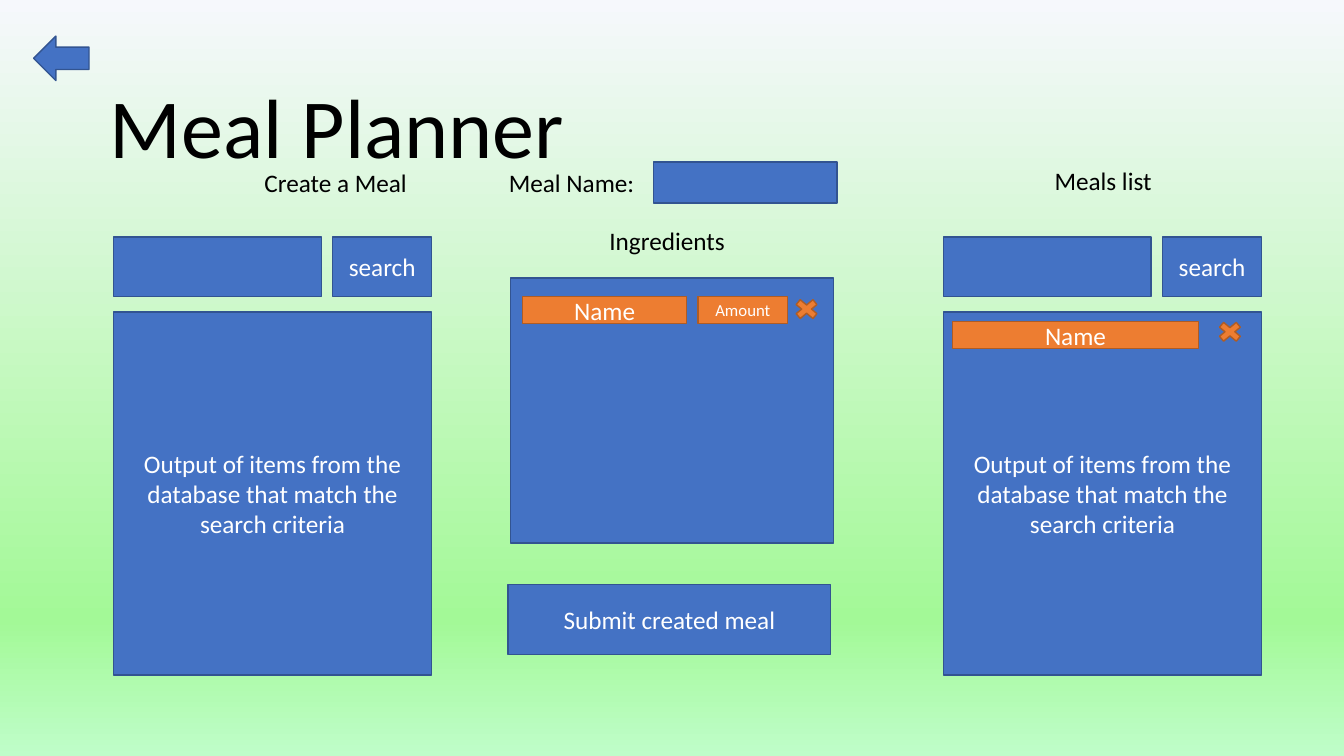
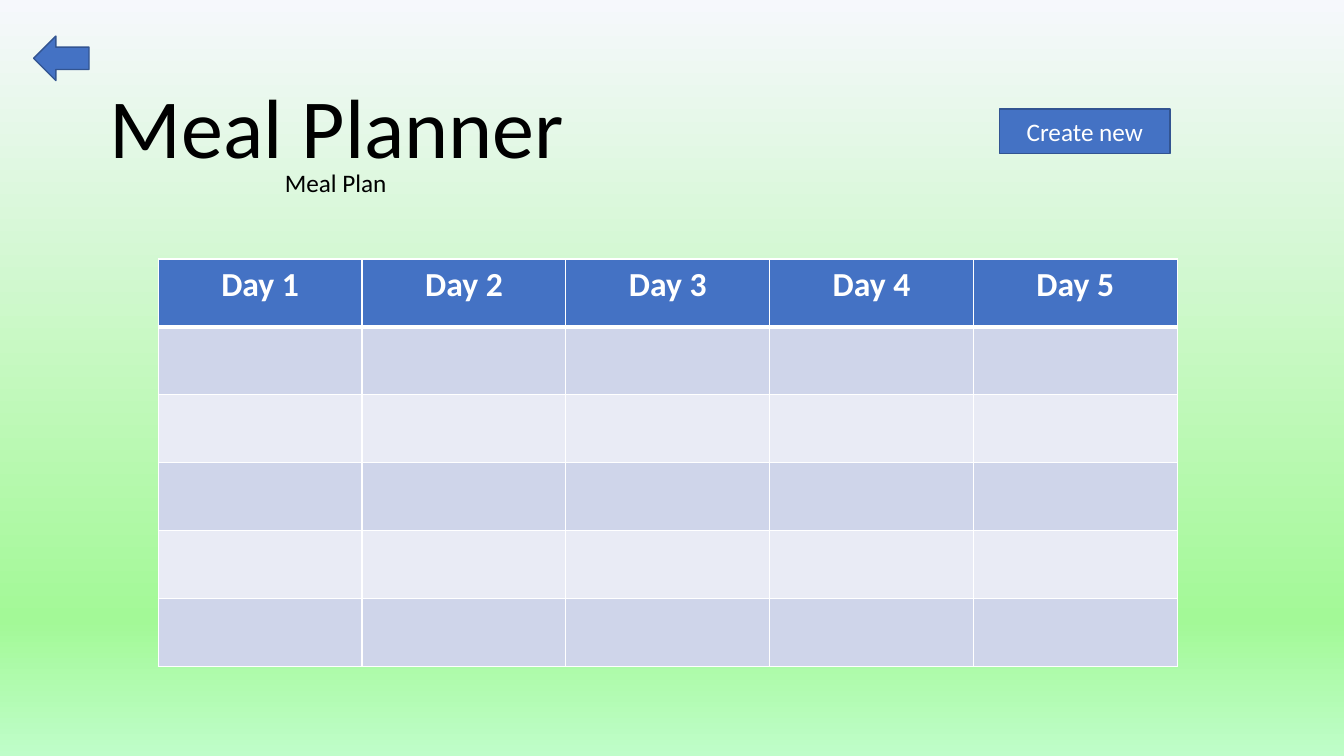
from dataclasses import dataclass

from lxml import etree
from pptx import Presentation
from pptx.dml.color import RGBColor
from pptx.enum.shapes import MSO_SHAPE
from pptx.enum.text import MSO_ANCHOR, MSO_AUTO_SIZE, PP_ALIGN
from pptx.oxml.ns import qn
from pptx.util import Inches, Pt

RECT = MSO_SHAPE.RECTANGLE
PROCESS = MSO_SHAPE.FLOWCHART_PROCESS
BACK_ARROW = MSO_SHAPE.LEFT_ARROW
CROSS = MSO_SHAPE.MATH_MULTIPLY
LEFT, CENTER = PP_ALIGN.LEFT, PP_ALIGN.CENTER
TOP, MIDDLE, BOTTOM = MSO_ANCHOR.TOP, MSO_ANCHOR.MIDDLE, MSO_ANCHOR.BOTTOM
GROW = MSO_AUTO_SIZE.SHAPE_TO_FIT_TEXT

COLUMNS, ROWS = 160, 90
CAPTION_H = 4.85
TAG_H = 3.2


@dataclass(frozen=True)
class Theme:
    font: str = "Calibri"
    ink: str = "000000"
    paper: str = "FFFFFF"
    blue: tuple = ("4472C4", "325491")
    orange: tuple = ("ED7D31", "AF5C24")
    bands: tuple = ("CFD5EA", "E9EBF5")
    backdrop: tuple = ((0, "F6F8FC"), (82, "A3F997"), (100, "BFFDC9"))
    title: int = 60
    heading: int = 24
    body: int = 18
    small: int = 12


class Deck:
    """Holds the theme and the current slide; lengths are grid columns and rows."""

    def __init__(self, theme):
        self.theme = theme
        self.prs = Presentation()
        self.prs.slide_width, self.prs.slide_height = Inches(13.33), Inches(7.5)
        self.slide = None
        self.paint_backdrop()

    def paint_backdrop(self):
        master = self.prs.slide_master
        fill = master.background.fill
        fill.gradient()
        fill.gradient_angle = 270
        stops = next(master.element.iter(qn("a:gsLst")))
        for stop in list(stops):
            stops.remove(stop)
        for percent, color in self.theme.backdrop:
            stop = etree.SubElement(stops, qn("a:gs"), pos=str(percent * 1000))
            etree.SubElement(stop, qn("a:srgbClr"), val=color)

    def grid(self, *lengths):
        """Turn alternating column and row counts into slide lengths."""
        units = (self.prs.slide_width / COLUMNS, self.prs.slide_height / ROWS)
        return [round(n * units[i % 2]) for i, n in enumerate(lengths)]

    def add_text(self, frame, text, size, color, align=CENTER, bold=False):
        paragraph = frame.paragraphs[0]
        paragraph.alignment = align
        run = paragraph.add_run()
        run.text = text
        run.font.name = self.theme.font
        run.font.size = Pt(size)
        run.font.bold = bold
        run.font.color.rgb = RGBColor.from_string(color)
        return paragraph

    def text_box(self, x, y, w, h):
        frame = self.slide.shapes.add_textbox(*self.grid(x, y, w, h)).text_frame
        frame.word_wrap = True
        return frame

    def page(self, caption):
        """Start a slide with the shared title, caption and back arrow."""
        self.slide = self.prs.slides.add_slide(self.prs.slide_layouts[6])
        frame = self.text_box(11.9, 9.6, 58.8, 12)
        frame.vertical_anchor = BOTTOM
        title = self.add_text(frame, "Meal Planner", self.theme.title, self.theme.ink, LEFT)
        title.line_spacing = 0.9
        self.caption(caption, 18.84, 19.3, 42.24)
        self.block(4, 4.3, 6.6, 5.3, kind=BACK_ARROW)

    def caption(self, text, x, y, w, align=CENTER):
        frame = self.text_box(x, y, w, CAPTION_H)
        frame.auto_size = GROW
        self.add_text(frame, text, self.theme.body, self.theme.ink, align)

    def block(self, x, y, w, h, text="", kind=RECT, colors=None, size=None):
        fill, line = colors or self.theme.blue
        shape = self.slide.shapes.add_shape(kind, *self.grid(x, y, w, h))
        shape.shadow.inherit = False
        shape.fill.solid()
        shape.fill.fore_color.rgb = RGBColor.from_string(fill)
        shape.line.color.rgb = RGBColor.from_string(line)
        shape.line.width = Pt(1)
        if text:
            shape.text_frame.word_wrap = True
            shape.text_frame.vertical_anchor = MIDDLE
            self.add_text(shape.text_frame, text, size or self.theme.body, self.theme.paper)

    def tag(self, text, x, y, w, size=None):
        self.block(x, y, w, TAG_H, text, colors=self.theme.orange, size=size)

    def delete_mark(self, x, y):
        self.block(x, y, 3.84, TAG_H, kind=CROSS, colors=self.theme.orange)

    def search_panel(self, x):
        """Search field and button above the list of results."""
        self.block(x, 28.2, 24.75, 7.1)
        self.block(x + 26.1, 28.2, 11.8, 7.1, "search")
        self.block(x, 37.15, 37.9, 43.2,
                   "Output of items from the database that match the search criteria")

    def border(self, cell, bottom):
        properties = cell._tc.get_or_add_tcPr()
        for side, points in (("L", 1), ("R", 1), ("T", 1), ("B", bottom)):
            line = etree.SubElement(properties, qn(f"a:ln{side}"), w=str(Pt(points)))
            solid = etree.SubElement(line, qn("a:solidFill"))
            etree.SubElement(solid, qn("a:srgbClr"), val=self.theme.paper)

    def planner_table(self, headings, empty_rows, x, y, w, h):
        theme = self.theme
        table = self.slide.shapes.add_table(
            empty_rows + 1, len(headings), *self.grid(x, y, w, h)).table
        for r, row in enumerate(table.rows):
            color = theme.bands[(r - 1) % 2] if r else theme.blue[0]
            for c, cell in enumerate(row.cells):
                self.border(cell, 1 if r else 3)
                cell.fill.solid()
                cell.fill.fore_color.rgb = RGBColor.from_string(color)
                cell.vertical_anchor = TOP
                if r == 0:
                    self.add_text(cell.text_frame, headings[c], theme.heading,
                                  theme.paper, bold=True)


def create_meal(deck):
    deck.page("Create a Meal")
    deck.search_panel(13.5)

    deck.caption("Meal Name:", 59.4, 19.3, 20.64, LEFT)
    deck.block(77.8, 19.3, 21.84, CAPTION_H)
    deck.block(60.8, 33.1, 38.4, 31.56, kind=PROCESS)
    deck.caption("Ingredients", 69.1, 26.2, 20.64)
    deck.delete_mark(94.1, 35.2)
    deck.tag("Name", 62.2, 35.3, 19.56)
    deck.tag("Amount", 83.1, 35.3, 10.68, deck.theme.small)
    deck.block(60.5, 69.6, 38.4, 8.28, "Submit created meal", PROCESS)

    deck.search_panel(112.3)
    deck.caption("Meals list", 110.2, 19.1, 42.24)
    deck.delete_mark(144.5, 37.9)
    deck.tag("Name", 113.4, 38.3, 29.28)


def meal_plan(deck):
    deck.page("Meal Plan")
    deck.planner_table([f"Day {n}" for n in range(1, 6)], 5,
                       18.84, 30.84, 121.32, 48.48)
    deck.block(119, 13, 20.3, 5.3, "Create new")


def main():
    deck = Deck(Theme())
    create_meal(deck)
    meal_plan(deck)
    deck.prs.save("out.pptx")


if __name__ == "__main__":
    main()
